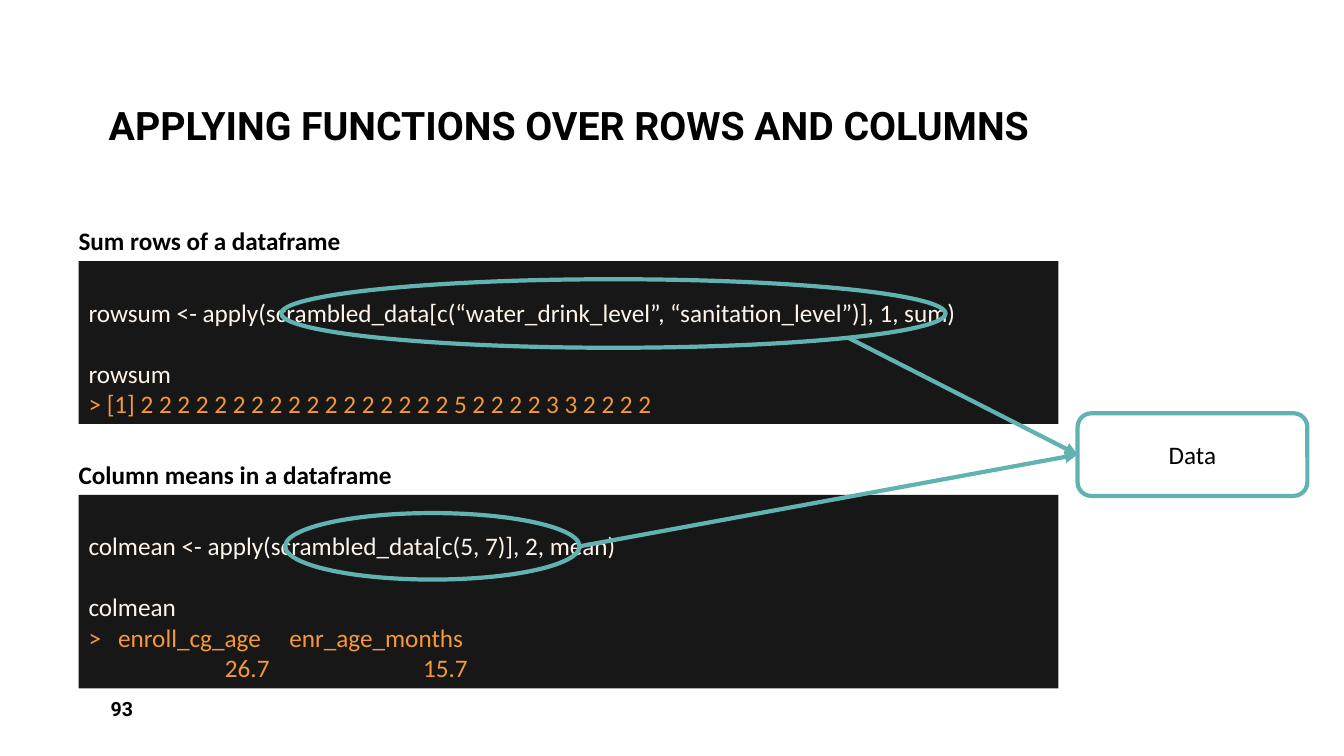
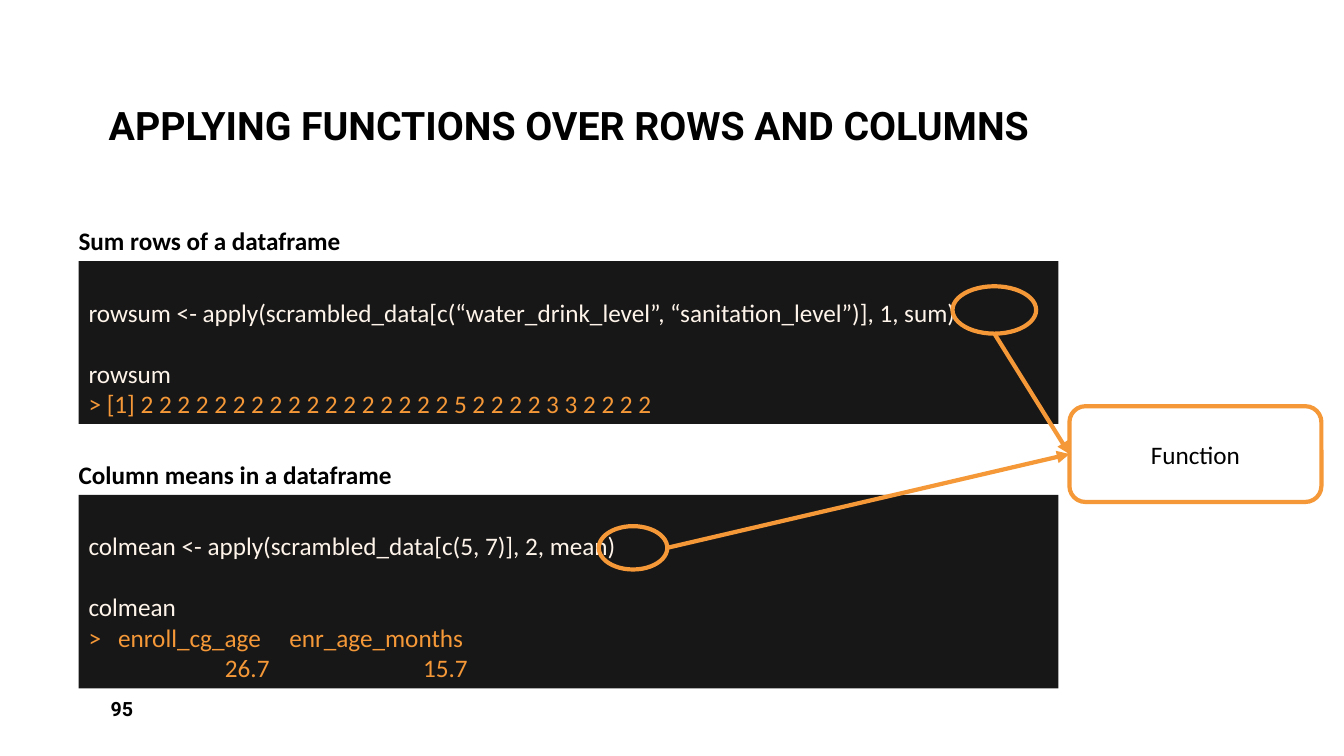
from collections import namedtuple
from dataclasses import dataclass
from math import cos, radians, sin

from pptx import Presentation
from pptx.dml.color import RGBColor as Rgb
from pptx.enum.shapes import MSO_CONNECTOR as Link, MSO_SHAPE as Kind
from pptx.enum.text import MSO_ANCHOR as Anchor, PP_ALIGN as Align
from pptx.oxml.ns import qn
from pptx.util import Inches, Pt
from lxml.etree import SubElement

COLS, ROWS = 80, 45  # square cells, six to the inch
CELL = Inches(1) / 6


@dataclass(frozen=True)
class Theme:
    ink: str = "000000"
    panel: str = "181717"
    code: str = "FEF4EA"
    teal: str = "61B3B2"
    orange: str = "F49838"
    head: str = "Roboto"
    body: str = "Calibri"
    title: int = 28
    text: int = 18
    small: int = 14
    line: int = 3
    gap: int = 22  # one empty line of code, in points
    row: float = 1.82  # one line of code, in cells
    pad: float = 0.3  # inset above and below code, in cells


THEME = Theme()


class Box(namedtuple("Box", "x y w h")):
    """An area of the grid, measured in cells."""

    def inner(self, x, y, w, h):
        return Box(self.x + x, self.y + y, w, h)

    def rim(self, angle):
        """Point on the inscribed ellipse, clockwise from the right."""
        turn = radians(angle)
        return (self.x + self.w / 2 * (1 + cos(turn)),
                self.y + self.h / 2 * (1 + sin(turn)))

    def emu(self):
        return [cells(v) for v in self]


PAGE = Box(0, 0, COLS, ROWS)


def cells(count):
    return round(count * CELL)


def style(para, size, color, face=THEME.body, bold=False):
    font = para.font
    font.name, font.size, font.bold = face, Pt(size), bold
    font.color.rgb = Rgb.from_string(color)


def label(slide, box, text, size, face, anchor, inset=0.6):
    """Bold text on the page."""
    frame = slide.shapes.add_textbox(*box.emu()).text_frame
    frame.word_wrap = True
    frame.vertical_anchor = anchor
    frame.margin_left = cells(inset)
    para = frame.paragraphs[0]
    para.text = text
    style(para, size, THEME.ink, face, True)
    return para


def shape(slide, kind, box, fill=None, line=None):
    item = slide.shapes.add_shape(kind, *box.emu())
    item.shadow.inherit = False
    if fill:
        item.fill.solid()
        item.fill.fore_color.rgb = Rgb.from_string(fill)
    else:
        item.fill.background()
    if line:
        item.line.color.rgb = Rgb.from_string(line)
        item.line.width = Pt(THEME.line)
    else:
        item.line.fill.background()
    return item


def arrow(slide, start, goal, color):
    """Arrow from a point to the left side of a shape."""
    x, y = map(cells, start)
    link = slide.shapes.add_connector(Link.STRAIGHT, x, y, x, y)
    link.end_connect(goal, 1)
    link.line.color.rgb = Rgb.from_string(color)
    link.line.width = Pt(THEME.line)
    props = link.element.spPr
    SubElement(props.find(qn("a:ln")), qn("a:tailEnd"), type="triangle")
    SubElement(props, qn("a:effectLst"))


def frame(slide, box, number):
    """Title and page number."""
    title = label(slide, box.inner(5.88, 0.48, 68.28, 8.7),
                  "APPLYING FUNCTIONS OVER ROWS AND COLUMNS",
                  THEME.title, THEME.head, Anchor.BOTTOM)
    title.line_spacing = 0.9
    label(slide, box.inner(6, 40.98, 17.52, 2.4), str(number),
          THEME.small, THEME.head, Anchor.MIDDLE)


def sample(slide, box, head, code, result):
    """Heading over a code panel; returns the area of the panel."""
    label(slide, box.inner(0, 0, 30, 2.4), head,
          THEME.text, THEME.body, Anchor.TOP, inset=0)
    lines = [(text, THEME.code) for text in code]
    lines += [(text, THEME.orange) for text in result]
    # An empty line stands above each line of code
    high = (len(lines) + len(code)) * THEME.row + 2 * THEME.pad
    area = box.inner(0, 2.43, box.w, high)
    body = shape(slide, Kind.RECTANGLE, area, fill=THEME.panel).text_frame
    body.word_wrap = True
    body.vertical_anchor = Anchor.TOP
    body.margin_top = cells(THEME.pad) + Pt(THEME.gap)
    for i, (text, color) in enumerate(lines):
        para = body.add_paragraph() if i else body.paragraphs[0]
        para.text = text
        para.alignment = Align.LEFT
        if 0 < i < len(code):
            para.space_before = Pt(THEME.gap)
        style(para, THEME.text, color)
    return area


def callout(slide, box, text, color, rings):
    """Named box with an arrow from each ring, given as (area, angle)."""
    goal = shape(slide, Kind.ROUNDED_RECTANGLE, box, line=color)
    goal.text_frame.vertical_anchor = Anchor.MIDDLE
    para = goal.text_frame.paragraphs[0]
    para.text = text
    para.alignment = Align.CENTER
    style(para, THEME.text, THEME.ink)
    for area, angle in rings:
        shape(slide, Kind.OVAL, area, line=color)
        arrow(slide, area.rim(angle), goal, color)


SAMPLES = [
    (13.11, "Sum rows of a dataframe",
     ["rowsum <- apply(scrambled_data[c(“water_drink_level”, "
      "“sanitation_level”)], 1, sum)", "rowsum"],
     ["> [1] 2 2 2 2 2 2 2 2 2 2 2 2 2 2 2 2 2 5 2 2 2 2 3 3 2 2 2 2"]),
    (27.03, "Column means in a dataframe",
     ["colmean <- apply(scrambled_data[c(5, 7)], 2, mean)", "colmean"],
     [">   enroll_cg_age     enr_age_months",
      "                        26.7                           15.7"]),
]

# Page number, callout text, colour and area, then a ring and angle per panel
SLIDES = [
    (93, "Data", THEME.teal, (64.14, 24.6, 13.68, 4.92),
     [((12.06, 1.08, 39.54, 4.08), 45), ((12.3, 1.08, 17.52, 3.96), 0)]),
    (95, "Function", THEME.orange, (63.66, 24.18, 15, 5.7),
     [((52.02, 1.5, 4.98, 2.82), 90), ((30.96, 1.86, 4.08, 2.58), 0)]),
]


def build(deck, number, text, color, spot, rings):
    slide = deck.slides.add_slide(deck.slide_layouts[6])
    frame(slide, PAGE, number)
    panels = [sample(slide, PAGE.inner(4.68, top, 58.32, 13.95), *rest)
              for top, *rest in SAMPLES]
    marks = [(panel.inner(*ring), angle)
             for panel, (ring, angle) in zip(panels, rings)]
    callout(slide, PAGE.inner(*spot), text, color, marks)


def main():
    deck = Presentation()
    deck.slide_width, deck.slide_height = cells(COLS), cells(ROWS)
    for row in SLIDES:
        build(deck, *row)
    deck.save("out.pptx")


if __name__ == "__main__":
    main()
